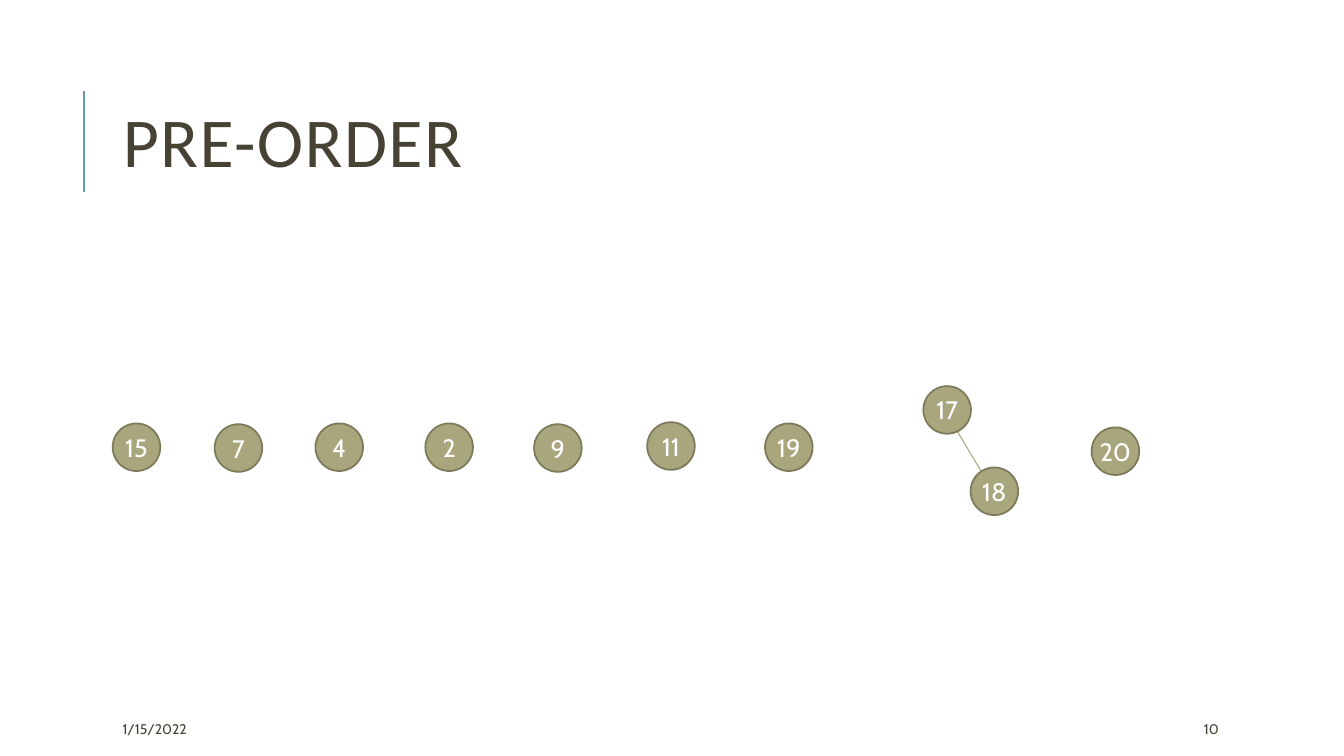
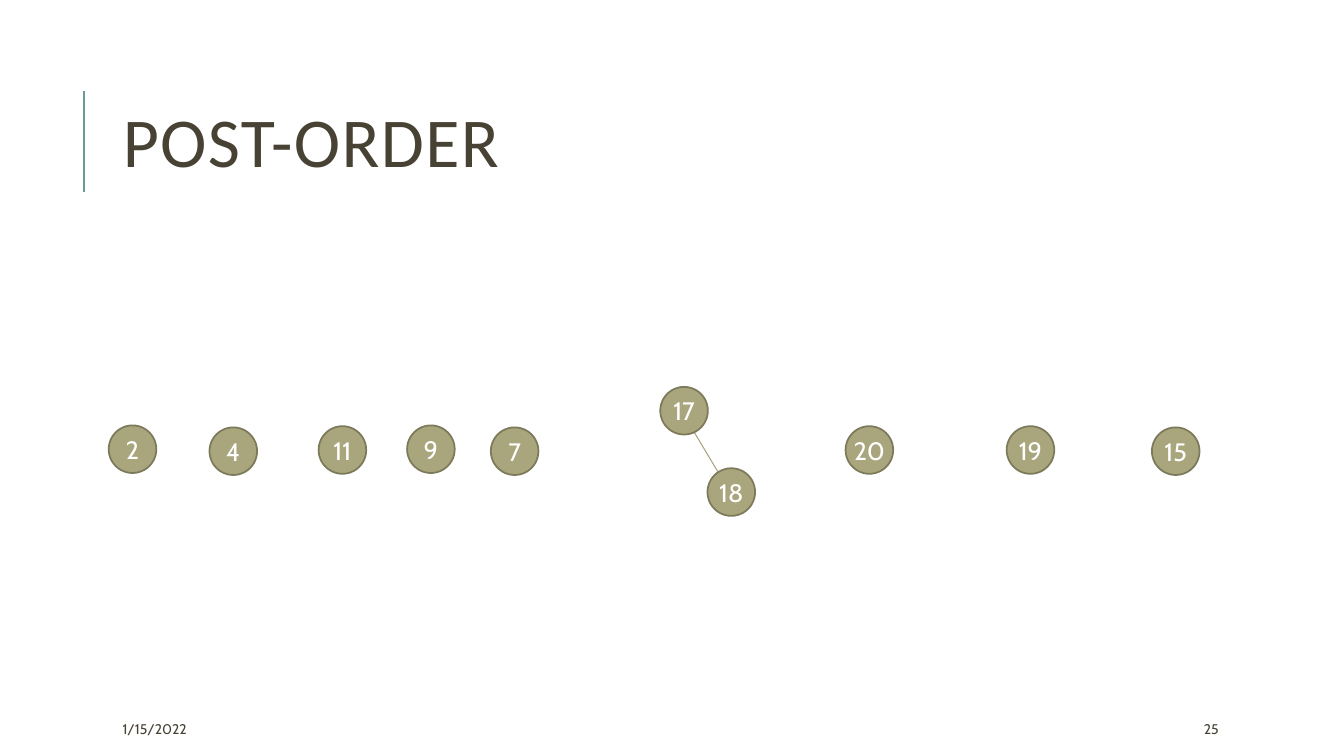
from lxml import etree
from pptx import Presentation
from pptx.dml.color import RGBColor
from pptx.enum import shapes, text
from pptx.oxml.ns import qn
from pptx.util import Cm, Pt

DARK = RGBColor(0x47, 0x42, 0x33)
TEAL = RGBColor(0x68, 0x9C, 0x9A)
OLIVE = RGBColor(0xA9, 0xA5, 0x7C)
OLIVE_DARK = RGBColor(0x7D, 0x7A, 0x5C)
WHITE = RGBColor(0xFF, 0xFF, 0xFF)

TITLE_FONT = "Calibri"
BODY_FONT = "Cabin"
DATE = "1/15/2022"
NODE_SIZE = 1.2
TITLE_ONLY = 5

# Each node: label, then its offset in cm from the left and top of the row.
PRE_ORDER = [
    ("15", 0, 0.94), ("7", 2.57, 0.96), ("4", 5.11, 0.94), ("2", 7.88, 0.94),
    ("9", 10.62, 0.96), ("11", 13.47, 0.91), ("19", 16.44, 0.94),
    ("17", 20.43, 0), ("18", 21.62, 2.05), ("20", 24.67, 1.04),
]
POST_ORDER = [
    ("2", 0, 0.97), ("4", 2.54, 1.02), ("11", 5.29, 0.99), ("9", 7.52, 0.97),
    ("7", 9.63, 1.02), ("17", 13.9, 0), ("18", 15.09, 2.05),
    ("20", 18.57, 0.99), ("19", 22.63, 0.99), ("15", 26.29, 1.02),
]


def set_font(paragraph, name, size, color):
    paragraph.font.name = name
    paragraph.font.size = Pt(size)
    paragraph.font.color.rgb = color


def add_line(slide, start, end, color, width):
    line = slide.shapes.add_connector(
        shapes.MSO_CONNECTOR.STRAIGHT, *map(Cm, (*start, *end)))
    line.line.color.rgb = color
    line.line.width = Pt(width)
    etree.SubElement(line.element.spPr, qn("a:effectLst"))


def add_title(slide, wording, left, top, width, height):
    title = slide.shapes.title
    title.left, title.top = Cm(left), Cm(top)
    title.width, title.height = Cm(width), Cm(height)
    frame = title.text_frame
    frame.text = wording
    frame.word_wrap = True
    frame.auto_size = text.MSO_AUTO_SIZE.NONE
    frame.vertical_anchor = text.MSO_ANCHOR.MIDDLE
    heading = frame.paragraphs[0]
    heading.alignment = text.PP_ALIGN.LEFT
    heading.line_spacing = 0.8
    set_font(heading, TITLE_FONT, 50, DARK)
    for properties in title.element.iter(qn("a:r")):
        properties.get_or_add_rPr().set("spc", "100")
    add_line(slide, (left - 0.73, top + 3.2), (left - 0.73, top + 0.66), TEAL, 1.5)


def add_footer(slide, number, left, top):
    for wording, offset, width in ((DATE, 0, 6), (number, 27.25, 2.7)):
        box = slide.shapes.add_textbox(
            Cm(left + offset), Cm(top), Cm(width), Cm(0.76))
        frame = box.text_frame
        frame.text = wording
        frame.word_wrap = True
        frame.vertical_anchor = text.MSO_ANCHOR.MIDDLE
        set_font(frame.paragraphs[0], BODY_FONT, 10, DARK)


def add_node(slide, label, left, top):
    node = slide.shapes.add_shape(
        shapes.MSO_SHAPE.OVAL, Cm(left), Cm(top), Cm(NODE_SIZE), Cm(NODE_SIZE))
    node.shadow.inherit = False
    node.fill.solid()
    node.fill.fore_color.rgb = OLIVE
    node.line.color.rgb = OLIVE_DARK
    node.line.width = Pt(1.25)
    frame = node.text_frame
    frame.margin_left = frame.margin_right = 0
    frame.margin_top = frame.margin_bottom = 0
    frame.vertical_anchor = text.MSO_ANCHOR.MIDDLE
    frame.text = label
    frame.paragraphs[0].alignment = text.PP_ALIGN.CENTER
    set_font(frame.paragraphs[0], BODY_FONT, 18, WHITE)


def add_traversal(slide, nodes, left, top):
    """Place the visited nodes, with the link from 17 to its child behind them."""
    places = {label: (left + x, top + y) for label, x, y in nodes}
    parent_x, parent_y = places["17"]
    child_x, child_y = places["18"]
    add_line(slide, (parent_x + 0.46, parent_y + 0.48),
             (child_x + 0.61, child_y + 0.67), OLIVE, 0.75)
    for label, place in places.items():
        add_node(slide, label, *place)


def add_order_slide(deck, title, number, nodes, left, top):
    slide = deck.slides.add_slide(deck.slide_layouts[TITLE_ONLY])
    add_title(slide, title, 2.84, 1.63, 27, 4.17)
    add_footer(slide, number, 2.84, 17.98)
    add_traversal(slide, nodes, left, top)


def main():
    deck = Presentation()
    deck.slide_width, deck.slide_height = Cm(33.87), Cm(19.05)
    add_order_slide(deck, "PRE-ORDER", "10", PRE_ORDER, 2.84, 9.73)
    add_order_slide(deck, "POST-ORDER", "25", POST_ORDER, 2.74, 9.75)
    deck.save("out.pptx")


if __name__ == "__main__":
    main()
